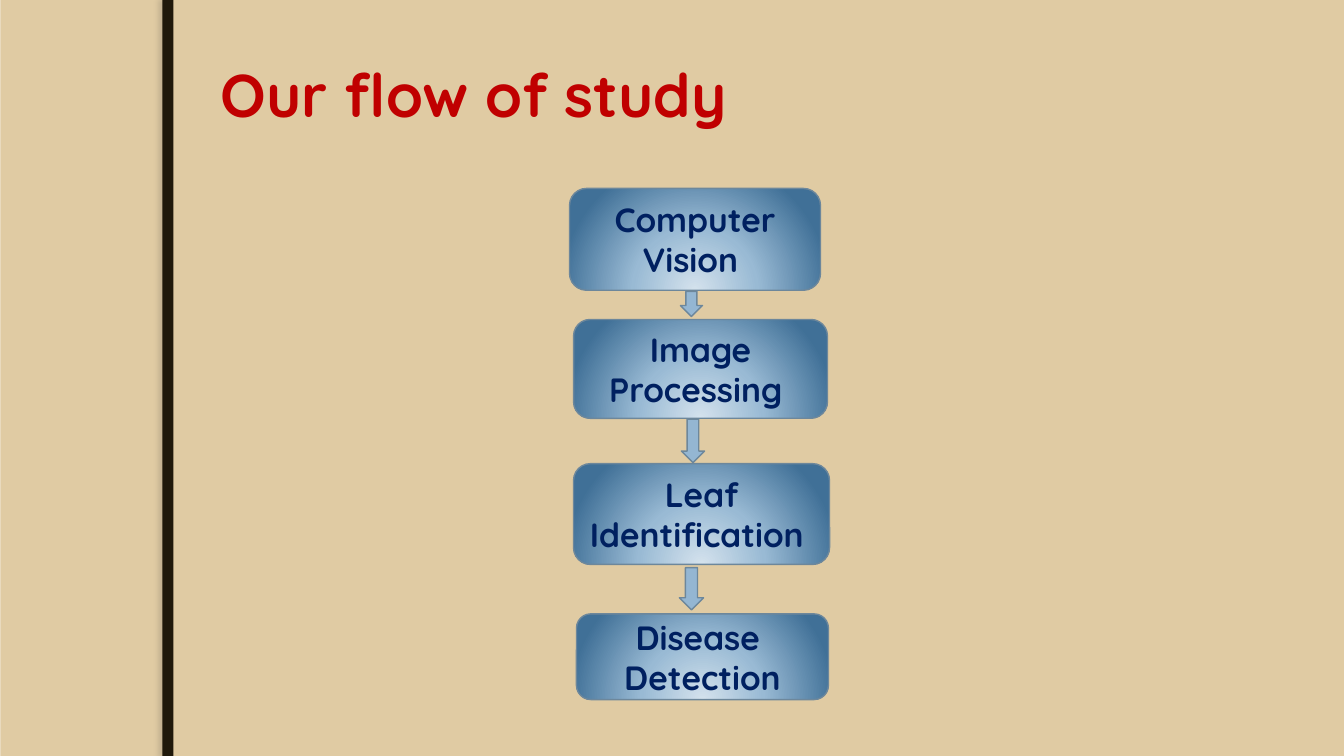
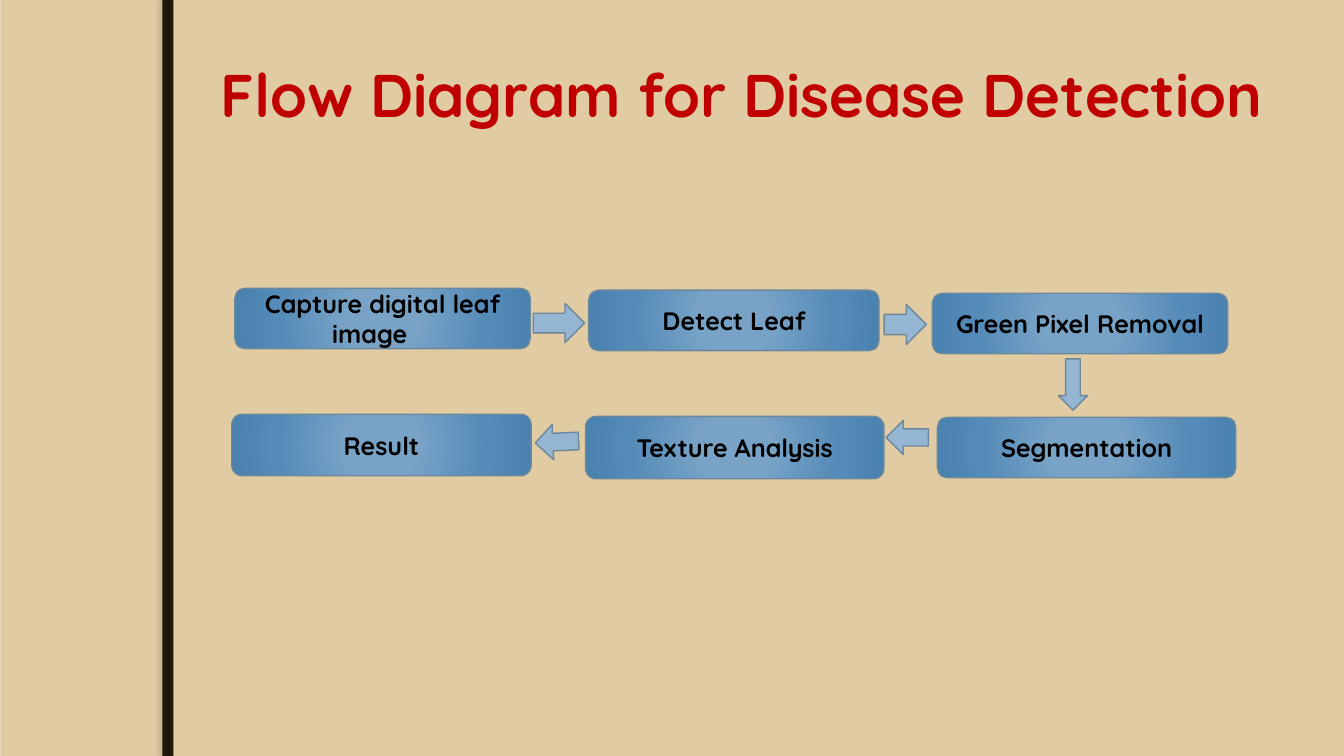
from lxml import etree
from pptx import Presentation
from pptx.dml.color import RGBColor
from pptx.enum import shapes, text
from pptx.oxml import ns
from pptx.util import Pt

FONT = "Quicksand"
PAPER, PAGE, BAND, BAND_SHADOW = "E0CBA3", "EBDDC3", "20190B", "766E60"
TITLE, NAVY, BLACK = "C00000", "002060", "000000"
ARROW, OUTLINE = "94B6D2", "6D879B"
WIDTH, HEIGHT = 960, 540
BOTTOM_GLOW = {"stops": [(0, "D4E2ED"), (46, "99BAD4"), (100, "407097")],
               "focus": (50, 130, 50, -30)}
CENTRE_GLOW = {"stops": [(0, "78A3C6"), (23, "78A3C6"), (69, "558BB8"), (97, "4A82B0")],
               "focus": (50, 50, 50, 50)}

STUDY_STEPS = [
    ("Computer Vision ", 0, 0, 179.3, 72.7),
    ("Image Processing ", 2.9, 93.6, 181.4, 70.6),
    ("Leaf Identification ", 2.9, 196.6, 182.9, 72),
    ("Disease \nDetection", 5, 303.9, 180, 61.2),
]
STUDY_ARROWS = [
    (79.2, 73.5, 15.8, 18, 0),
    (79.9, 164.9, 16.6, 31, 0),
    (78.5, 270.8, 17.3, 30.2, 0),
]
DETECTION_STEPS = [
    ("Capture digital leaf image\t", 2.2, 0, 211, 43.2),
    ("Detect Leaf", 254.9, 1.4, 207.4, 43.2),
    ("Green Pixel Removal", 500.4, 3.6, 211, 43.2),
    ("Segmentation", 504, 92.2, 213.1, 43.2),
    ("Texture Analysis", 252.7, 91.5, 213.1, 44.6),
    ("Result", 0, 90, 213.8, 43.9),
]
DETECTION_ARROWS = [
    (219.6, 6.5, 28.1, 36.7, 270),
    (466.6, 10.8, 28.8, 30.2, 270),
    (590.4, 50.4, 20.9, 36.7, 0),
    (470.2, 91.5, 24.5, 30.2, 90),
    (219.6, 94.3, 25.2, 31, 87.4),
]


def rgb(value):
    """Turn a hex string into a colour."""
    return RGBColor.from_string(value)


def add_xml(parent, tag, **attributes):
    """Append a drawing element with the given attributes."""
    values = {key: str(value) for key, value in attributes.items()}
    return etree.SubElement(parent, ns.qn("a:" + tag), values)


def write(frame, content, size=18, color=BLACK, align=text.PP_ALIGN.CENTER):
    """Fill a text frame with bold text in one format."""
    frame.text = content
    frame.word_wrap = True
    frame.auto_size = text.MSO_AUTO_SIZE.NONE
    frame.vertical_anchor = text.MSO_ANCHOR.MIDDLE
    for paragraph in frame.paragraphs:
        paragraph.alignment = align
        for run in paragraph.runs:
            run.font.name, run.font.size, run.font.bold = FONT, Pt(size), True
            run.font.color.rgb = rgb(color)


def add_preset(slide, preset, left, top, width, height, fill, line=None):
    """Draw a flat preset shape, outlined if a line colour is given."""
    shape = slide.shapes.add_shape(preset, Pt(left), Pt(top), Pt(width), Pt(height))
    shape.shadow.inherit = False
    shape.fill.solid()
    shape.fill.fore_color.rgb = rgb(fill)
    if line:
        shape.line.color.rgb = rgb(line)
        shape.line.width = Pt(1)
    else:
        shape.line.fill.background()
    return shape


def apply_glow(shape, stops, focus):
    """Give a shape a circular gradient around its focus."""
    shape.fill.gradient()
    gradient = shape.element.spPr.find(ns.qn("a:gradFill"))
    for part in list(gradient):
        gradient.remove(part)
    stop_list = add_xml(gradient, "gsLst")
    for position, color in stops:
        stop = add_xml(stop_list, "gs", pos=position * 1000)
        add_xml(stop, "srgbClr", val=color)
    circle = add_xml(gradient, "path", path="circle")
    edges = {side: share * 1000 for side, share in zip("ltrb", focus)}
    add_xml(circle, "fillToRect", **edges)


def add_backdrop(master, slide):
    """Draw the paper and the dark band and place them on the master."""
    master.background.fill.solid()
    master.background.fill.fore_color.rgb = rgb(PAGE)
    rect = shapes.MSO_SHAPE.RECTANGLE
    paper = add_preset(slide, rect, 0.7, 0, WIDTH - 0.7, HEIGHT, PAPER)
    band = add_preset(slide, rect, 115.9, 0, 7.9, HEIGHT, BAND)
    effects = band.element.spPr.find(ns.qn("a:effectLst"))
    shadow = add_xml(effects, "outerShdw", blurRad=Pt(3), dist=Pt(3),
                     dir=180 * 60000, algn="r", rotWithShape=0)
    add_xml(add_xml(shadow, "srgbClr", val=BAND_SHADOW), "alpha", val=25000)
    tree = master.shapes.element
    for index, part in enumerate((paper, band), start=2):
        tree.insert(index, part.element)


def add_titled_slide(prs, heading):
    """Add a slide with its title in the shared style."""
    slide = prs.slides.add_slide(prs.slide_layouts[5])
    title = slide.shapes.title
    title.left, title.top = Pt(150.5), Pt(21.6)
    title.width, title.height = Pt(787), Pt(90)
    write(title.text_frame, heading, size=43, color=TITLE, align=text.PP_ALIGN.LEFT)
    return slide


def add_flow(slide, left, top, steps, arrows, glow, **text_format):
    """Draw steps and arrows relative to the corner of the flow."""
    for label, x, y, width, height in steps:
        step = add_preset(slide, shapes.MSO_SHAPE.ROUNDED_RECTANGLE,
                          left + x, top + y, width, height, ARROW, OUTLINE)
        apply_glow(step, **glow)
        write(step.text_frame, label, **text_format)
    for x, y, width, height, angle in arrows:
        arrow = add_preset(slide, shapes.MSO_SHAPE.DOWN_ARROW,
                           left + x, top + y, width, height, ARROW, OUTLINE)
        arrow.rotation = angle


def main():
    """Build and save the presentation."""
    prs = Presentation()
    prs.slide_width, prs.slide_height = Pt(WIDTH), Pt(HEIGHT)
    study = add_titled_slide(prs, "Our flow of study")
    add_backdrop(prs.slide_master, study)
    add_flow(study, 406.8, 134.6, STUDY_STEPS, STUDY_ARROWS, BOTTOM_GLOW,
             size=24, color=NAVY)
    detection = add_titled_slide(prs, "Flow Diagram for Disease Detection")
    add_flow(detection, 165.6, 205.9, DETECTION_STEPS, DETECTION_ARROWS, CENTRE_GLOW)
    prs.save("out.pptx")


if __name__ == "__main__":
    main()
